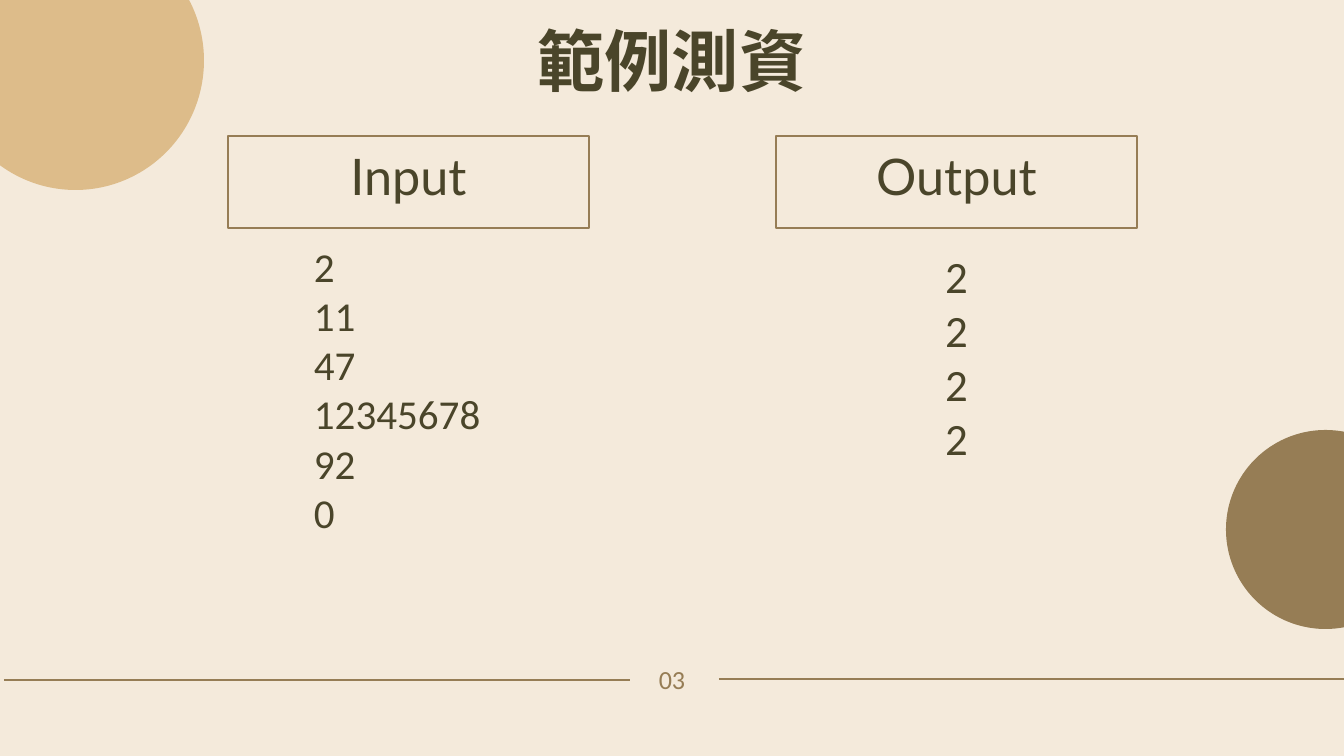
"""Build the sample test data slide with its input and output columns."""
from lxml import etree
from pptx import Presentation
from pptx.dml.color import RGBColor
from pptx.enum.shapes import MSO_CONNECTOR, MSO_SHAPE
from pptx.enum.text import PP_ALIGN
from pptx.oxml.ns import qn
from pptx.util import Emu, Pt

RECT, OVAL = MSO_SHAPE.RECTANGLE, MSO_SHAPE.OVAL
STRAIGHT = MSO_CONNECTOR.STRAIGHT
LEFT, CENTER = PP_ALIGN.LEFT, PP_ALIGN.CENTER
SCALE = 914400 / 67.2
COLORS = {"cream": "F4EADB", "tan": "DDBC8A", "brown": "967D55", "ink": "4A452A"}
C = {name: RGBColor.from_string(value) for name, value in COLORS.items()}


def px(*lengths):
    return [Emu(round(n * SCALE)) for n in lengths]


def add_text(box, lines, size, font, color="ink", align=CENTER, spacing=None, bold=False):
    tf = s.shapes.add_textbox(*px(*box)).text_frame
    tf.word_wrap = True
    tf.margin_left = tf.margin_right = tf.margin_top = tf.margin_bottom = 0
    for i, line in enumerate(lines):
        p = tf.paragraphs[0] if i == 0 else tf.add_paragraph()
        p.alignment = align
        if spacing:
            p.line_spacing = Pt(spacing)
        r = p.add_run()
        r.text = line
        r.font.size = Pt(size)
        r.font.name = font
        r.font.bold = bold
        r.font.color.rgb = C[color]
        etree.SubElement(r.font._element, qn("a:ea"), typeface=font)


prs = Presentation()
prs.slide_width, prs.slide_height = px(1344, 756)
s = prs.slides.add_slide(prs.slide_layouts[6])
s.background.fill.solid()
s.background.fill.fore_color.rgb = C["cream"]

for x1, x2, y in [(719, 1344, 679), (4, 630, 680)]:
    rule = s.shapes.add_connector(STRAIGHT, *px(x1, y, x2, y))
    rule.line.color.rgb = C["brown"]
    rule.line.width = Pt(3)
    etree.SubElement(rule._element.spPr, qn("a:effectLst"))
add_text((610, 669, 124, 26), ["03"], 28, "Calibri", "brown", spacing=28)

for box, color in [((1226, 430, 199, 199), "brown"), ((-53, -69, 257, 259), "tan")]:
    sp = s.shapes.add_shape(OVAL, *px(*box))
    sp.shadow.inherit = False
    sp.fill.solid()
    sp.fill.fore_color.rgb = C[color]
    sp.line.fill.background()

add_text((317, 19, 710, 81), ["範例測資"], 72, "Noto Sans CJK SC", spacing=86.4, bold=True)

for x, label in [(228, "Input"), (776, "Output")]:
    sp = s.shapes.add_shape(RECT, *px(x, 136, 361, 92))
    sp.shadow.inherit = False
    sp.fill.background()
    sp.line.color.rgb = C["brown"]
    sp.line.width = Pt(3)
    add_text((x + 57, 172, 247, 40), [label], 54, "Lato", spacing=36)

add_text((314, 241, 187, 298), ["2", "11", "47", "1234567892", "0"], 44, "Calibri", align=LEFT)
add_text((863, 249, 187, 217), ["2"] * 4, 48, "Calibri")

prs.save("out.pptx")
